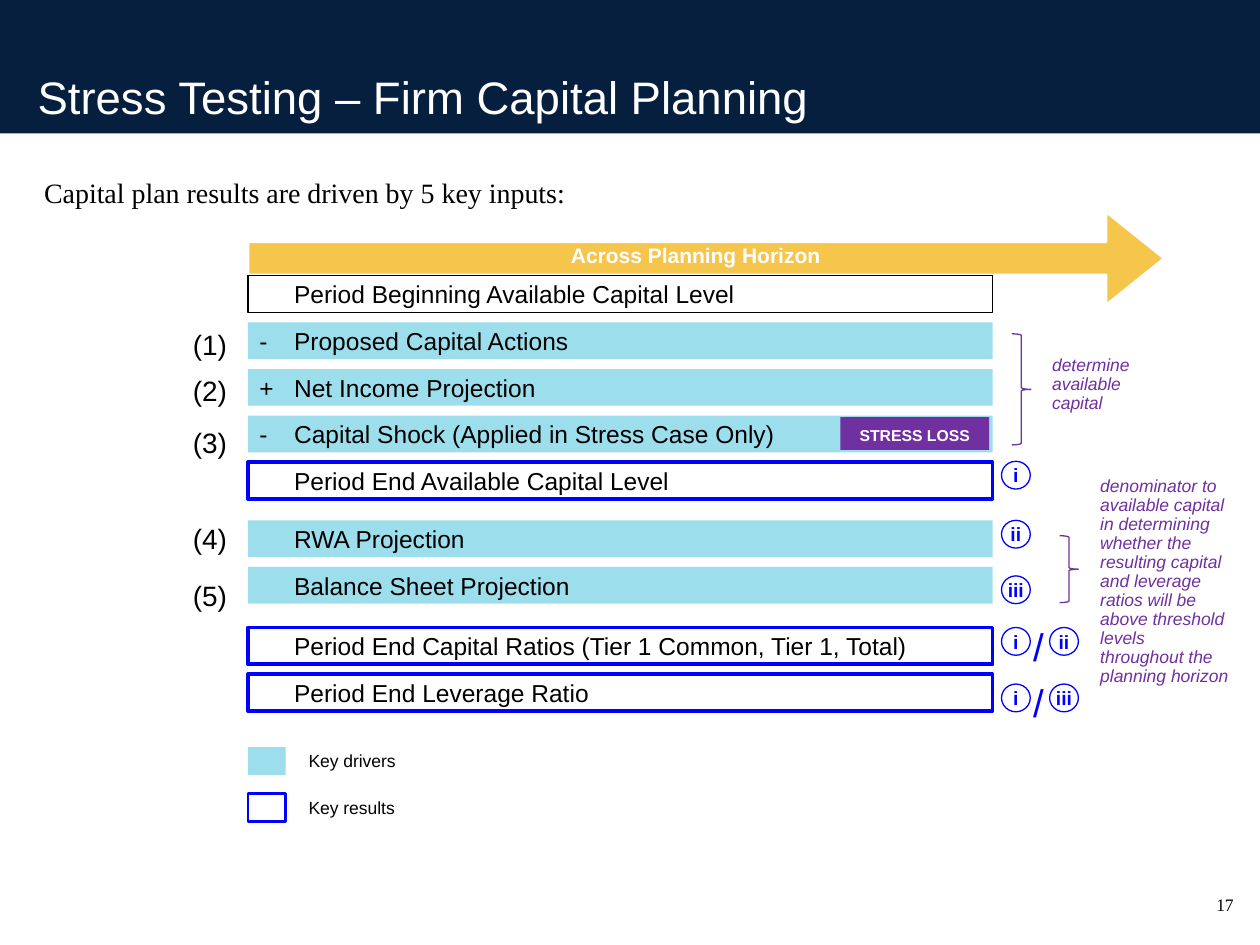
from dataclasses import dataclass, field
from typing import Any

import pptx
import pptx.dml.color
import pptx.enum.shapes
import pptx.enum.text
import pptx.util

Cm = pptx.util.Cm
Pt = pptx.util.Pt
KIND = pptx.enum.shapes.MSO_SHAPE
ANCHOR = pptx.enum.text.MSO_ANCHOR
ALIGN = pptx.enum.text.PP_ALIGN

HUES = {
    "navy": "061F3F",
    "white": "FFFFFF",
    "black": "000000",
    "aqua": "9DDEED",
    "blue": "0000FF",
    "gold": "F6C54C",
    "plum": "7030A0",
}
WIDE = (0.25, 0.13, 0.25, 0.13)
SLIM = (0.23, 0.1, 0.23, 0.1)
TIGHT = (0.13, 0.13, 0.13, 0.13)
LEAD = Cm(0.7)


@dataclass
class Style:
    size: float
    hue: str = "black"
    face: str = "Arial"
    bold: bool = False
    slant: bool = False
    align: Any = ALIGN.LEFT
    anchor: Any = ANCHOR.TOP
    pad: tuple = SLIM
    wrap: bool = True
    form: dict = field(default_factory=dict)


@dataclass
class Row:
    text: str
    role: str
    sign: str = ""


@dataclass
class Mark:
    text: str
    left: float
    top: float


@dataclass
class Note:
    text: str
    box: tuple
    brace: tuple


LOOKS = {
    "start": (None, "black", 0.75),
    "driver": ("aqua", None, 0),
    "result": (None, "blue", 2.25),
}
TITLE = Style(26, "white", anchor=ANCHOR.BOTTOM, pad=WIDE, form={"line_spacing": 0.9})
INTRO = Style(16, face="Times New Roman", pad=(0.51, 0.13, 0.25, 0.13), form={"line_spacing": 1.1})
ARROW = Style(12, "white", bold=True, align=ALIGN.CENTER, anchor=ANCHOR.BOTTOM, pad=WIDE,
              form={"line_spacing": 0.9})
KEY = Style(10, anchor=ANCHOR.BOTTOM, pad=WIDE, form={"line_spacing": 0.9})
BAR = Style(14, anchor=ANCHOR.MIDDLE)
ROUND = Style(11, "blue", bold=True, align=ALIGN.CENTER, anchor=ANCHOR.MIDDLE, wrap=False)
SLASH = Style(22, "blue")
COUNT = Style(16)
ASIDE = Style(10, "plum", slant=True, form={"line_spacing": 0.9})
LOSS = Style(9, "white", bold=True, align=ALIGN.CENTER, anchor=ANCHOR.MIDDLE,
             form={"line_spacing": 1.15})
PAGE = Style(10, face="Times New Roman", align=ALIGN.RIGHT, anchor=ANCHOR.BOTTOM, pad=TIGHT)

STEP = 0.94
GROUPS = [
    (5.56, [
        Row("Period Beginning Available Capital Level", "start"),
        Row("Proposed Capital Actions", "driver", "-"),
        Row("Net Income Projection", "driver", "+"),
        Row("Capital Shock (Applied in Stress Case Only)", "driver", "-"),
        Row("Period End Available Capital Level", "result"),
    ]),
    (10.49, [
        Row("RWA Projection", "driver"),
        Row("Balance Sheet Projection", "driver"),
    ]),
    (12.65, [
        Row("Period End Capital Ratios (Tier 1 Common, Tier 1, Total)", "result"),
        Row("Period End Leverage Ratio", "result"),
    ]),
]
NEAR, FAR = 20.19, 21.16
MARKS = [
    Mark("i", NEAR, 9.3),
    Mark("ii", NEAR, 10.49),
    Mark("iii", NEAR, 11.61),
    Mark("i", NEAR, 12.65),
    Mark("ii", FAR, 12.65),
    Mark("i", NEAR, 13.79),
    Mark("iii", FAR, 13.79),
]
NOTES = [
    Note("determine available capital", (20.98, 7.09, 2.11, 1.4), (20.4, 6.73, 0.38, 2.24)),
    Note("denominator to available capital in determining whether the resulting capital and "
         "leverage ratios will be above threshold levels throughout the planning horizon",
         (21.95, 9.53, 3.1, 4.62), (21.36, 10.8, 0.38, 1.35)),
]


def paint(hue: str) -> pptx.dml.color.RGBColor:
    return pptx.dml.color.RGBColor.from_string(HUES[hue])


def apply(thing: Any, form: dict) -> None:
    for name, value in form.items():
        setattr(thing, name, value)


def put_text(shape: Any, text: str, style: Style) -> Any:
    frame = shape.text_frame
    left, top, right, low = map(Cm, style.pad)
    apply(frame, {"margin_left": left, "margin_top": top, "margin_right": right,
                  "margin_bottom": low, "word_wrap": style.wrap,
                  "vertical_anchor": style.anchor})
    para = frame.paragraphs[0]
    apply(para, {"alignment": style.align, **style.form})
    run = para.add_run()
    run.text = text
    apply(run.font, {"size": Pt(style.size), "name": style.face,
                     "bold": style.bold, "italic": style.slant})
    run.font.color.rgb = paint(style.hue)
    return para


def add_text(slide: Any, box: tuple, text: str, style: Style) -> None:
    put_text(slide.shapes.add_textbox(*map(Cm, box)), text, style)


def add_form(slide: Any, kind: Any, box: tuple, fill: str | None = None,
             edge: str | None = None, width: float = 0) -> Any:
    shape = slide.shapes.add_shape(kind, *map(Cm, box))
    shape.shadow.inherit = False
    if fill:
        shape.fill.solid()
        shape.fill.fore_color.rgb = paint(fill)
    else:
        shape.fill.background()
    if edge:
        shape.line.color.rgb = paint(edge)
        shape.line.width = Pt(width)
    else:
        shape.line.fill.background()
    return shape


def add_row(slide: Any, row: Row, top: float) -> None:
    shape = add_form(slide, KIND.RECTANGLE, (5, top, 15.01, 0.74), *LOOKS[row.role])
    text = f"{row.sign}\t{row.text}" if row.sign else row.text
    props = put_text(shape, text, BAR)._p.get_or_add_pPr()
    props.set("marL", str(LEAD))
    props.set("indent", str(-LEAD if row.sign else 0))


def add_mark(slide: Any, mark: Mark) -> None:
    shape = add_form(slide, KIND.OVAL, (mark.left, mark.top, 0.58, 0.56), None, "blue", 0.75)
    put_text(shape, mark.text, ROUND)


def add_note(slide: Any, note: Note) -> None:
    add_text(slide, note.box, note.text, ASIDE)
    add_form(slide, KIND.RIGHT_BRACE, note.brace, None, "plum", 0.75)


def main() -> None:
    deck = pptx.Presentation()
    apply(deck, {"slide_width": Cm(25.4), "slide_height": Cm(19.05)})
    slide = deck.slides.add_slide(deck.slide_layouts[6])

    add_form(slide, KIND.RECTANGLE, (0, 0, 25.4, 2.69), "navy")
    add_text(slide, (0.51, 1.4, 23.5, 1.24), "Stress Testing – Firm Capital Planning", TITLE)
    add_text(slide, (0.38, 3.35, 23.47, 4.57),
             "Capital plan results are driven by 5 key inputs:", INTRO)

    for top, text, look in [(15.06, "Key drivers", ("aqua",)),
                            (16, "Key results", (None, "blue", 1.5))]:
        add_form(slide, KIND.RECTANGLE, (5, top, 0.76, 0.56), *look)
        add_text(slide, (5.97, top - 0.02, 3.18, 0.64), text, KEY)

    arrow = add_form(slide, KIND.RIGHT_ARROW, (5, 4.27, 18.47, 1.88), "gold", "white", 1.5)
    arrow.adjustments[0], arrow.adjustments[1] = 0.354, 0.623
    put_text(arrow, "Across Planning Horizon", ARROW)

    for start, rows in GROUPS:
        for place, row in enumerate(rows):
            add_row(slide, row, start + place * STEP)
    for mark in MARKS:
        add_mark(slide, mark)
    for top in (12.47, 13.59):
        add_text(slide, (20.6, top, 1.14, 1.17), "/", SLASH)
    for count, top in enumerate((6.5, 7.44, 8.48, 10.41, 11.56), 1):
        add_text(slide, (3.66, top, 1.35, 0.91), f"({count})", COUNT)
    for note in NOTES:
        add_note(slide, note)

    loss = add_form(slide, KIND.RECTANGLE, (16.94, 8.41, 3, 0.66), "plum")
    put_text(loss, "STRESS LOSS", LOSS)
    add_text(slide, (24.31, 17.88, 0.69, 0.69), "17", PAGE)
    deck.save("out.pptx")


if __name__ == "__main__":
    main()
